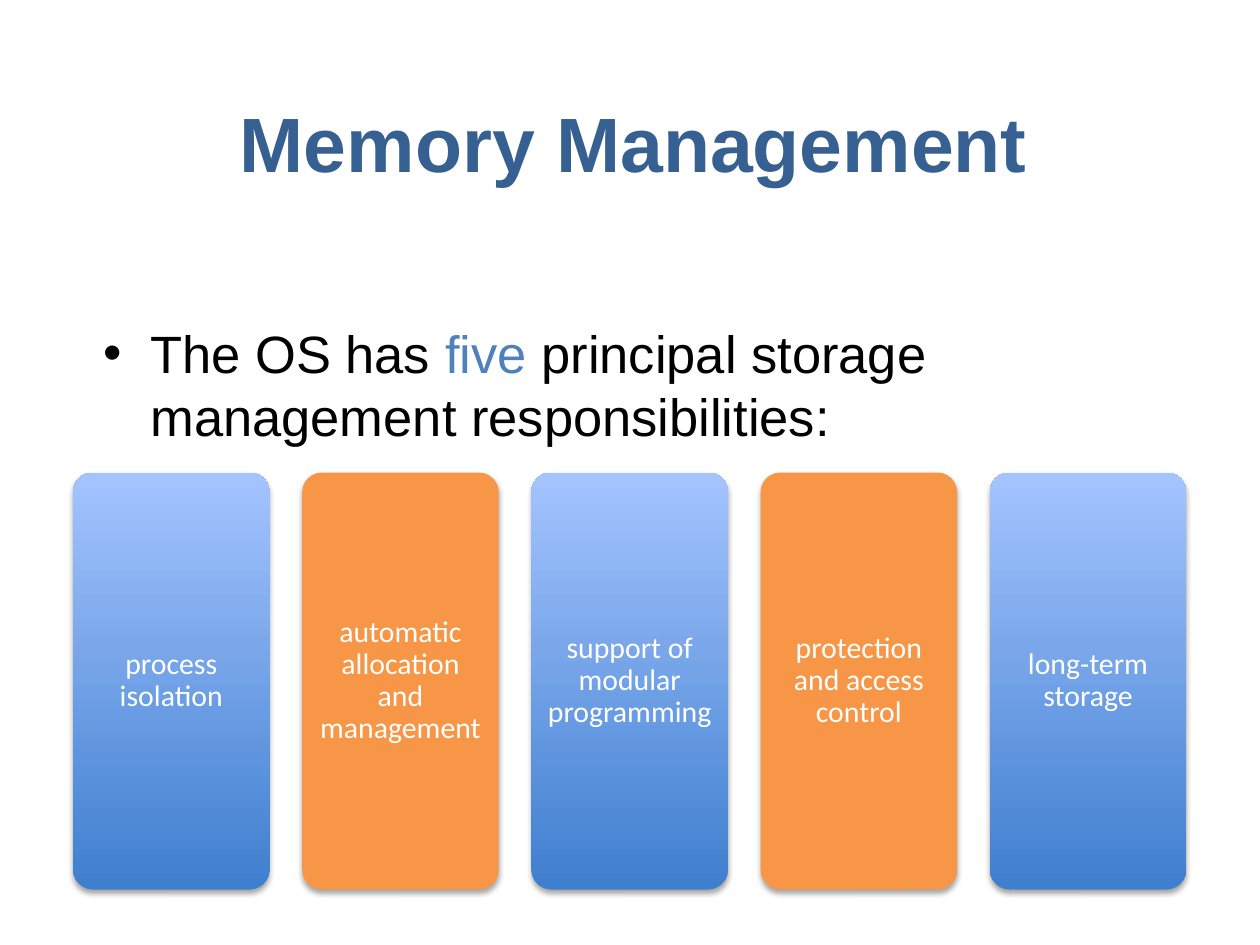
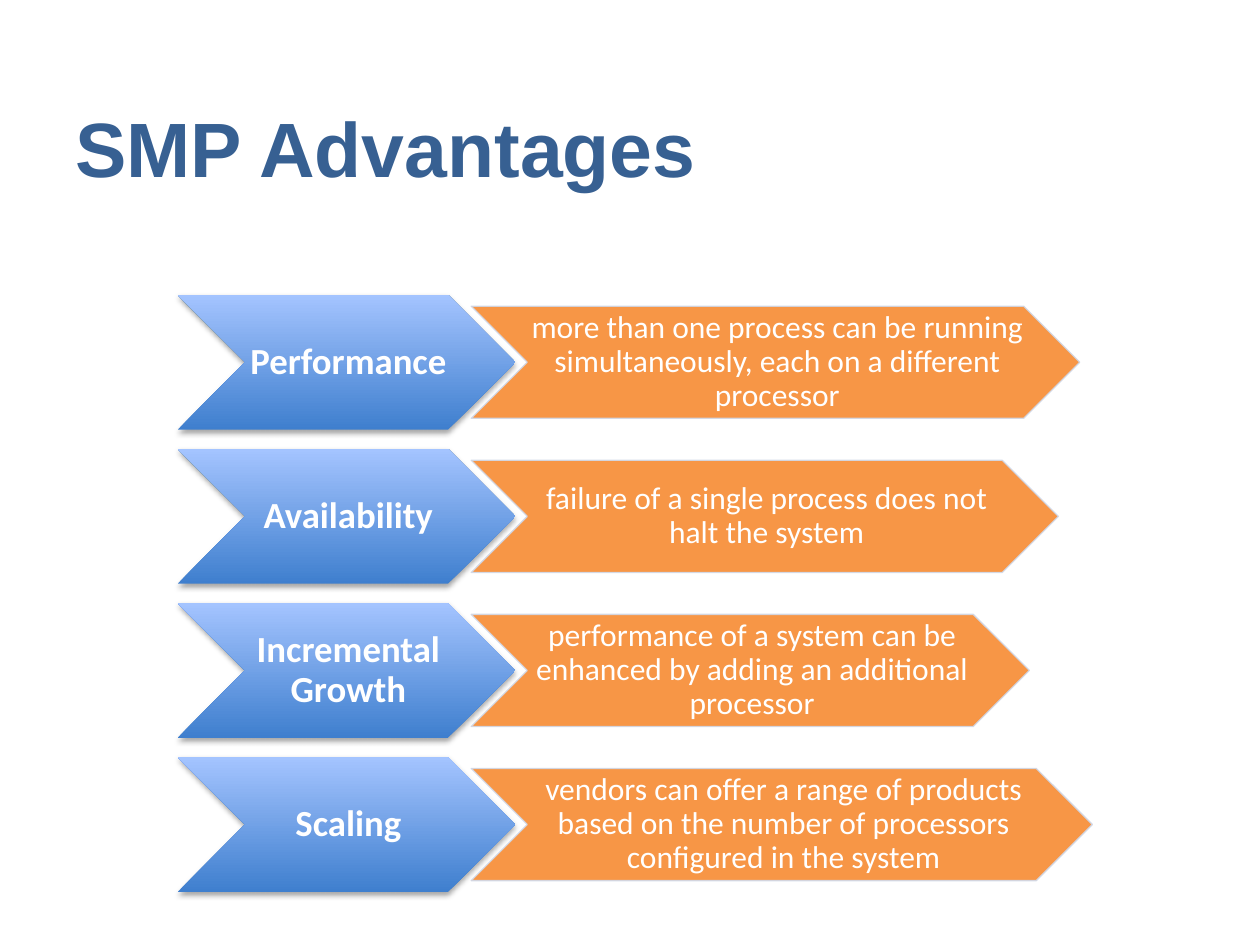
import pptx
import pptx.util
import pptx.dml.color
import pptx.enum.shapes
import pptx.enum.text
import pptx.oxml.ns
from lxml import etree

RGB = pptx.dml.color.RGBColor
SHAPE = pptx.enum.shapes.MSO_SHAPE
ALIGN = pptx.enum.text.PP_ALIGN
ANCHOR = pptx.enum.text.MSO_ANCHOR

NAVY = RGB(0x37, 0x60, 0x92)
BLUE = RGB(0x4F, 0x81, 0xBD)
DEEP = RGB(0x3F, 0x7F, 0xCE)
LIGHT = RGB(0xA4, 0xC4, 0xFF)
ORANGE = RGB(0xF7, 0x96, 0x46)
PALE = RGB(0xD0, 0xD8, 0xE8)
BLACK = RGB(0, 0, 0)
WHITE = RGB(0xFF, 0xFF, 0xFF)

COLUMNS, ROWS = 100, 75
CARD_INSETS = (0.7, 0.7, 0.7, 0.7)
CHEVRON_INSETS = (0.3, 0.1, 0, 0.1)

RESPONSIBILITIES = [
    "process isolation",
    "automatic allocation and management",
    "support of modular programming",
    "protection and access control",
    "long-term storage",
]
ADVANTAGES = [
    ("Performance", 48.3, "more than one process can be running simultaneously, "
     "each on a different processor"),
    ("Availability", 46.6, "failure of a single process does not halt the system"),
    ("Incremental Growth", 44.3, "performance of a system can be enhanced "
     "by adding an additional processor"),
    ("Scaling", 49.3, "vendors can offer a range of products based on the number "
     "of processors configured in the system"),
]


def child(parent, tag, **attributes):
    return etree.SubElement(parent, pptx.oxml.ns.qn(tag), **attributes)


def write(p, text, size=18, font="Calibri", color=WHITE, bold=False):
    r = p.add_run()
    r.text = text
    r.font.size = pptx.util.Pt(size)
    r.font.name = font
    r.font.bold = bold
    r.font.color.rgb = color


class Deck:
    def __init__(self):
        self.prs = pptx.Presentation()
        self.prs.slide_width = pptx.util.Inches(10)
        self.prs.slide_height = pptx.util.Inches(7.5)
        self.s = None

    def slide(self):
        self.s = self.prs.slides.add_slide(self.prs.slide_layouts[6])

    def x(self, columns):
        return round(self.prs.slide_width * columns / COLUMNS)

    def y(self, rows):
        return round(self.prs.slide_height * rows / ROWS)

    def box(self, left, top, width, height):
        return self.x(left), self.y(top), self.x(width), self.y(height)

    def text_box(self, area, anchor):
        tf = self.s.shapes.add_textbox(*self.box(*area)).text_frame
        tf.word_wrap = True
        tf.vertical_anchor = anchor
        return tf.paragraphs[0]

    def title(self, text, area, align):
        p = self.text_box(area, ANCHOR.MIDDLE)
        p.alignment = align
        write(p, text, size=44, font="Arial", color=NAVY, bold=True)

    def bullet(self, parts, area):
        p = self.text_box(area, ANCHOR.TOP)
        pPr = p._p.get_or_add_pPr()
        indent = self.x(3.75)
        pPr.set("marL", str(indent))
        pPr.set("indent", str(-indent))
        child(pPr, "a:buFont", typeface="Arial")
        child(pPr, "a:buChar", char="•")
        for text, color in parts:
            write(p, text, size=30, font="Arial", color=color)

    def shape(self, kind, area, text, insets, **style):
        sp = self.s.shapes.add_shape(kind, *self.box(*area))
        sp.shadow.inherit = False
        sp.line.fill.background()
        tf = sp.text_frame
        tf.word_wrap = True
        tf.vertical_anchor = ANCHOR.MIDDLE
        left, top, right, bottom = insets
        tf.margin_left, tf.margin_right = self.x(left), self.x(right)
        tf.margin_top, tf.margin_bottom = self.y(top), self.y(bottom)
        p = tf.paragraphs[0]
        p.alignment = ALIGN.CENTER
        p.line_spacing = 0.9
        write(p, text, **style)
        return sp

    def paint_orange(self, sp):
        sp.fill.solid()
        sp.fill.fore_color.rgb = ORANGE

    def paint_gradient(self, sp):
        sp.fill.gradient()
        sp.fill.gradient_angle = 90
        for stop, color in zip(sp.fill.gradient_stops, (DEEP, LIGHT)):
            stop.color.rgb = color

    def cast_shadow(self, sp):
        effects = sp._element.spPr.find(pptx.oxml.ns.qn("a:effectLst"))
        shadow = child(effects, "a:outerShdw", blurRad=str(pptx.util.Pt(3.1)),
                       dist=str(pptx.util.Pt(1.8)), dir="5400000", rotWithShape="0")
        child(child(shadow, "a:srgbClr", val=str(BLACK)), "a:alpha", val="35000")

    def card(self, area, text, paint):
        sp = self.shape(SHAPE.ROUNDED_RECTANGLE, area, text, CARD_INSETS, size=17)
        sp.adjustments[0] = 0.1
        paint(sp)
        self.cast_shadow(sp)

    def label_chevron(self, area, text):
        sp = self.shape(SHAPE.CHEVRON, area, text, CHEVRON_INSETS, size=21, bold=True)
        self.paint_gradient(sp)
        self.cast_shadow(sp)

    def detail_chevron(self, area, text):
        sp = self.shape(SHAPE.CHEVRON, area, text, CHEVRON_INSETS)
        self.paint_orange(sp)
        sp.line.color.rgb = PALE
        sp.line.width = pptx.util.Pt(0.75)
        color = sp.line._ln.find(".//" + pptx.oxml.ns.qn("a:srgbClr"))
        child(color, "a:alpha", val="90000")


def memory_slide(deck):
    deck.slide()
    deck.title("Memory Management", (7.5, 5, 85.6, 12.5), ALIGN.CENTER)
    deck.bullet([("The OS has ", BLACK), ("five", BLUE),
                 (" principal storage management responsibilities:", BLACK)],
                (7.2, 25, 86.1, 43.3))
    paints = (deck.paint_gradient, deck.paint_orange)
    for i, text in enumerate(RESPONSIBILITIES):
        deck.card((5.8 + 18.19 * i, 37.5, 15.6, 33.1), text, paints[i % 2])


def smp_slide(deck):
    deck.slide()
    deck.title("SMP Advantages", (5, 5.8, 85.6, 11.7), ALIGN.LEFT)
    for i, (label, width, detail) in enumerate(ADVANTAGES):
        top = 23.4 + 12.23 * i
        deck.label_chevron((14.1, top, 26.8, 10.7), label)
        deck.detail_chevron((37.4, top + 0.9, width, 8.9), detail)


def main():
    deck = Deck()
    memory_slide(deck)
    smp_slide(deck)
    deck.prs.save("out.pptx")


if __name__ == "__main__":
    main()
